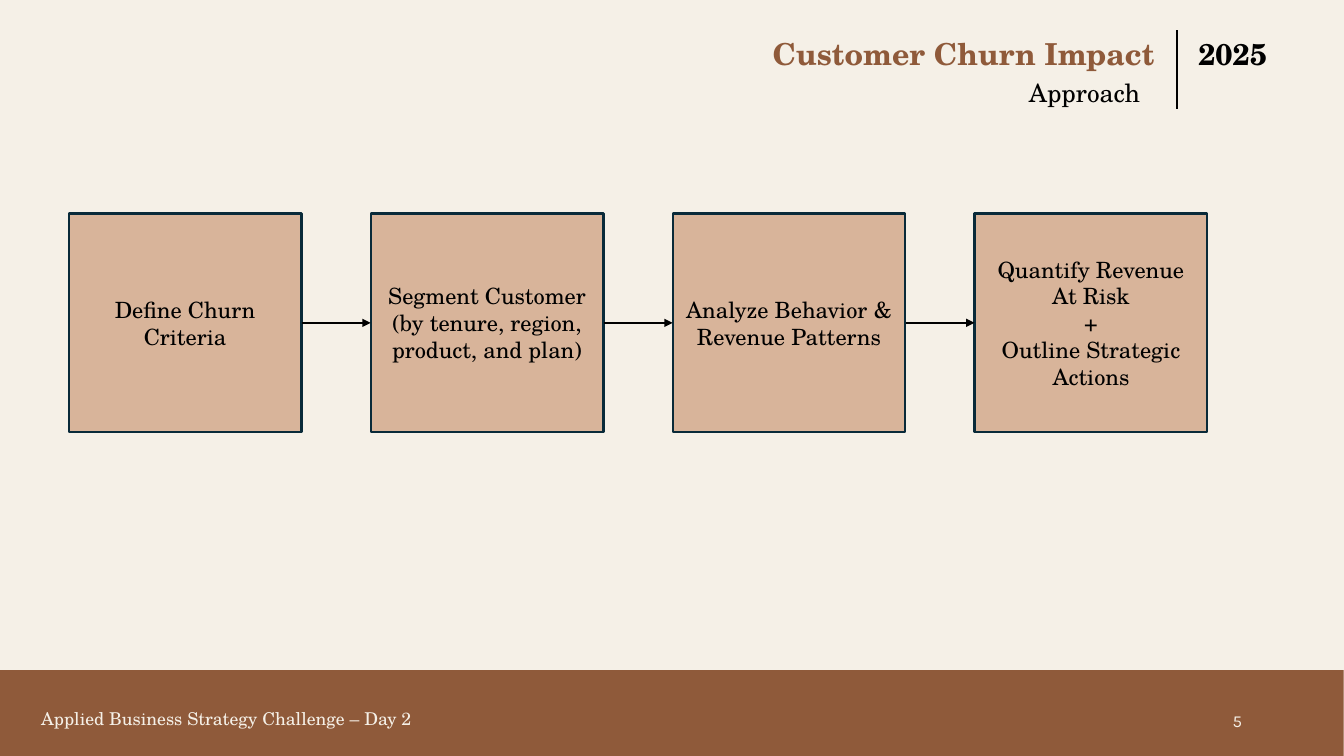
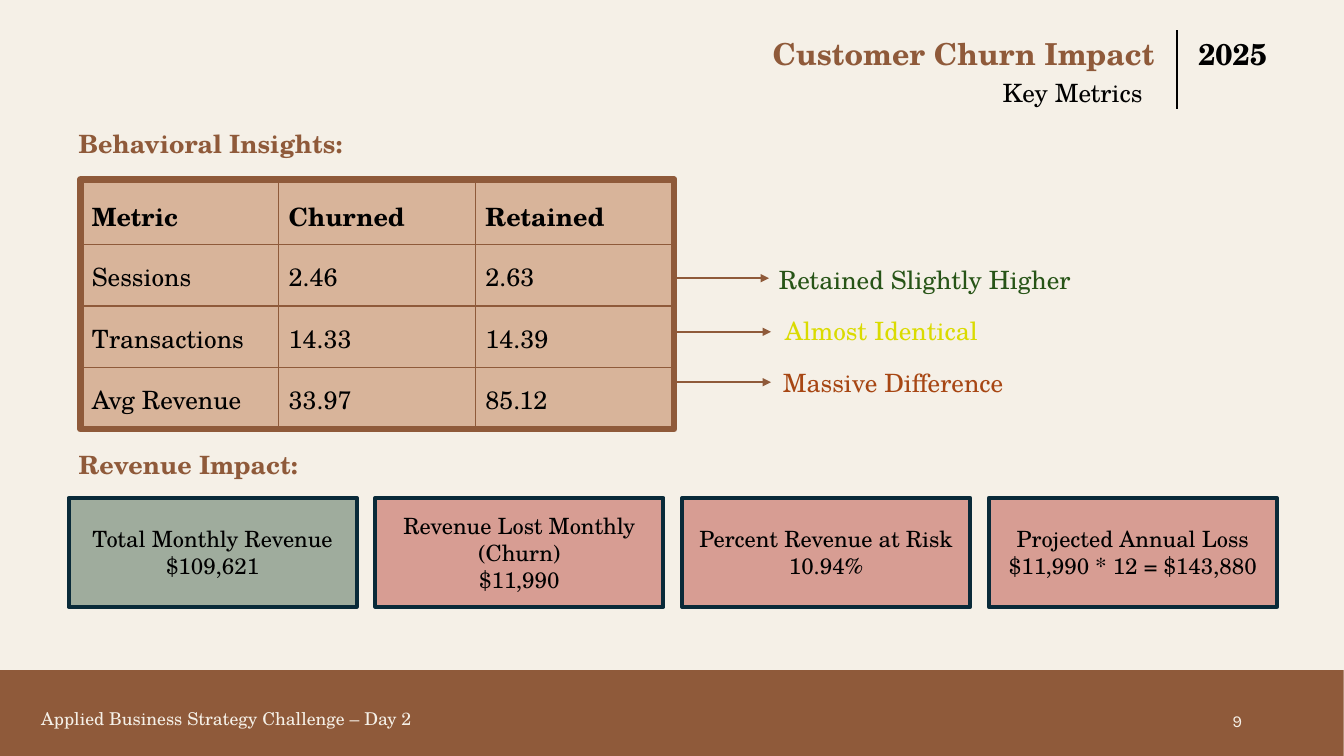
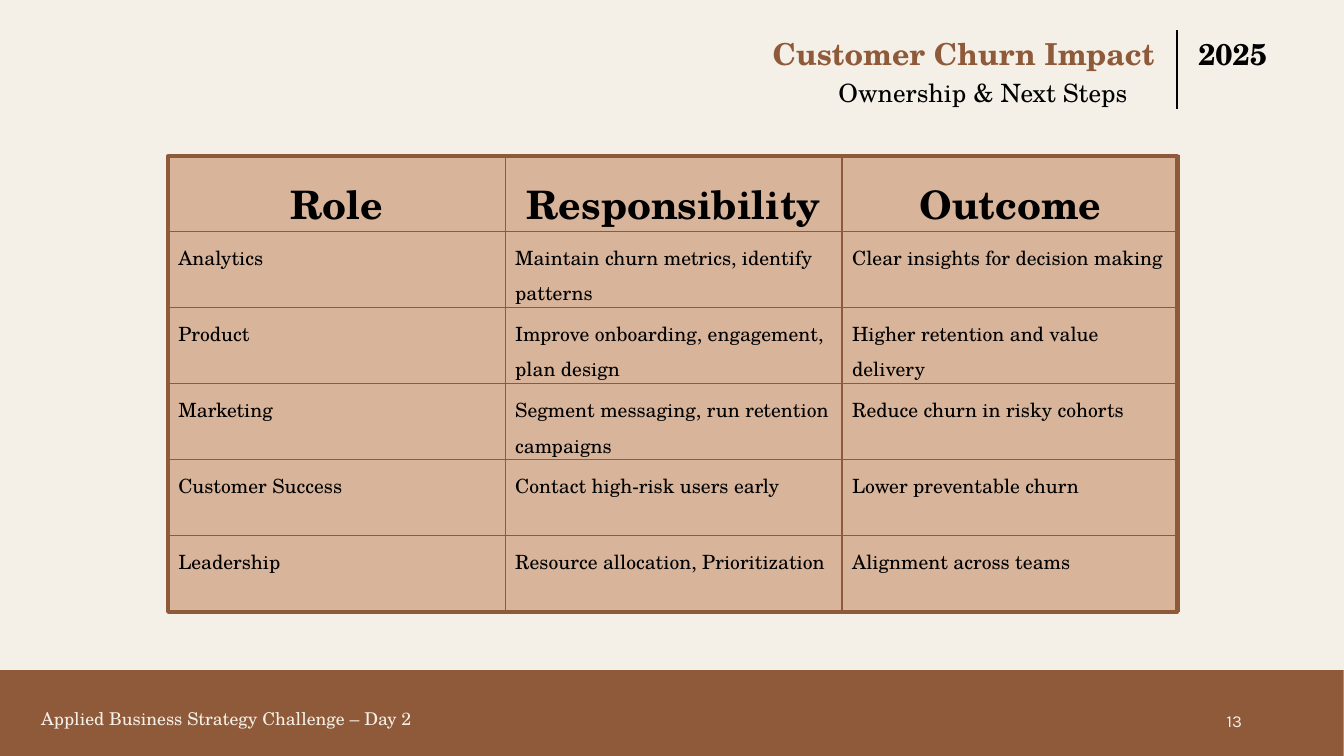
"""Build three slides on the impact of customer churn."""
from dataclasses import dataclass

from lxml import etree
from pptx import Presentation
from pptx import presentation as deck_types
from pptx import slide as slide_types
from pptx import table as table_types
from pptx import util as u
from pptx.dml import color as dml
from pptx.enum import shapes, text
from pptx.oxml import ns
from pptx.shapes import autoshape, connector
from pptx.text import text as text_types

Cm = u.Cm


@dataclass(frozen=True)
class Theme:
    """Colours, fonts and type sizes."""
    cream: str = "F5F0E7"
    brown: str = "8F5A3A"
    tan: str = "D8B49A"
    navy: str = "092A39"
    black: str = "000000"
    sage: str = "9FAC9D"
    rose: str = "D79D93"
    green: str = "275417"
    yellow: str = "DADB00"
    rust: str = "A74613"
    serif: str = "TeX Gyre Schola"
    sans: str = "Karla"
    title: float = 21.6
    year: float = 21.4
    heading: float = 18
    box: float = 16
    body: float = 14
    footer: float = 12.6
    number: float = 12
    role_header: float = 28
    thin: float = 1
    rule: float = 1.5
    thick: float = 3
    heavy: float = 4.5


@dataclass(frozen=True)
class Area:
    """A rectangle in centimetres."""
    left: float
    top: float
    width: float
    height: float

    def lengths(self) -> tuple[u.Length, ...]:
        """Give the rectangle as slide lengths."""
        return Cm(self.left), Cm(self.top), Cm(self.width), Cm(self.height)

    def shifted(self, pitch: float, index: int) -> "Area":
        """Move the rectangle right by a number of pitches."""
        return Area(self.left + pitch * index, self.top, self.width, self.height)


@dataclass(frozen=True)
class Card:
    """A revenue figure and its fill."""
    wording: str
    fill: str


@dataclass(frozen=True)
class Verdict:
    """A remark on a table row and the arrow leading to it."""
    wording: str
    color: str
    left: float
    arrow_left: float
    arrow_y: float


THEME = Theme()
LEFT, CENTER, RIGHT = text.PP_ALIGN.LEFT, text.PP_ALIGN.CENTER, text.PP_ALIGN.RIGHT
TOP, MIDDLE, BOTTOM = text.MSO_ANCHOR.TOP, text.MSO_ANCHOR.MIDDLE, text.MSO_ANCHOR.BOTTOM

STEPS = (
    "Define Churn Criteria",
    "Segment Customer\n(by tenure, region, product, and plan)",
    "Analyze Behavior &\nRevenue Patterns",
    "Quantify Revenue At Risk\n+\nOutline Strategic Actions",
)
METRICS = (
    ("Metric", "Churned", "Retained"),
    ("Sessions", "2.46", "2.63"),
    ("Transactions", "14.33", "14.39"),
    ("Avg Revenue", "33.97", "85.12"),
)
VERDICTS = (
    Verdict("Retained Slightly Higher", THEME.green, 19.38, 16.99, 7.01),
    Verdict("Almost Identical", THEME.yellow, 19.53, 17.04, 8.36),
    Verdict("Massive Difference", THEME.rust, 19.48, 17.04, 9.63),
)
CARDS = (
    Card("Total Monthly Revenue\n$109,621", THEME.sage),
    Card("Revenue Lost Monthly (Churn)\n$11,990", THEME.rose),
    Card("Percent Revenue at Risk\n10.94%", THEME.rose),
    Card("Projected Annual Loss\n$11,990 * 12 = $143,880", THEME.rose),
)
OWNERS = (
    ("Role", "Responsibility", "Outcome"),
    ("Analytics", "Maintain churn metrics, identify patterns", "Clear insights for decision making"),
    ("Product", "Improve onboarding, engagement, plan design", "Higher retention and value delivery"),
    ("Marketing", "Segment messaging, run retention campaigns", "Reduce churn in risky cohorts"),
    ("Customer Success", "Contact high-risk users early", "Lower preventable churn"),
    ("Leadership", "Resource allocation, Prioritization", "Alignment across teams"),
)


def rgb(value: str) -> dml.RGBColor:
    """Turn a hex string into a colour."""
    return dml.RGBColor.from_string(value)


def write(frame: text_types.TextFrame, wording: str, *, size: float, color: str = THEME.black,
          font: str = THEME.serif, bold: bool = False, align: text.PP_ALIGN = LEFT,
          anchor: text.MSO_ANCHOR | None = None, spacing: float | None = None) -> None:
    """Fill a text frame, one paragraph for each line of the wording."""
    frame.word_wrap = True
    if anchor is not None:
        frame.vertical_anchor = anchor
    for index, line in enumerate(wording.split("\n")):
        paragraph = frame.add_paragraph() if index else frame.paragraphs[0]
        paragraph.alignment = align
        if spacing:
            paragraph.line_spacing = spacing
        run = paragraph.add_run()
        run.text = line
        run.font.name = font
        run.font.size = u.Pt(size)
        run.font.bold = bold
        run.font.color.rgb = rgb(color)


def add_label(slide: slide_types.Slide, area: Area, wording: str, **style) -> None:
    """Add a text box."""
    write(slide.shapes.add_textbox(*area.lengths()).text_frame, wording, **style)


def add_box(slide: slide_types.Slide, area: Area, fill: str, border: str | None = None,
            weight: float = THEME.rule, wording: str = "") -> autoshape.Shape:
    """Add a rectangle, with a border and centred wording if given."""
    box = slide.shapes.add_shape(shapes.MSO_SHAPE.RECTANGLE, *area.lengths())
    box.shadow.inherit = False
    box.fill.solid()
    box.fill.fore_color.rgb = rgb(fill)
    if border:
        box.line.color.rgb = rgb(border)
        box.line.width = u.Pt(weight)
    else:
        box.line.fill.background()
    if wording:
        write(box.text_frame, wording, size=THEME.box, align=CENTER, anchor=MIDDLE)
    return box


def add_line(slide: slide_types.Slide, start: tuple[float, float], end: tuple[float, float],
             color: str = THEME.black, arrow: bool = False) -> connector.Connector:
    """Add a straight line, with an arrowhead at its end if asked."""
    line = slide.shapes.add_connector(
        shapes.MSO_CONNECTOR.STRAIGHT, *(Cm(value) for value in (*start, *end)))
    line.line.color.rgb = rgb(color)
    line.line.width = u.Pt(THEME.rule)
    properties = line.element.spPr
    if arrow:
        etree.SubElement(properties.find(ns.qn("a:ln")), ns.qn("a:tailEnd"), type="triangle")
    etree.SubElement(properties, ns.qn("a:effectLst"))
    return line


def outline_cell(cell: table_types._Cell, color: str) -> None:
    """Draw thin borders round a cell and leave it unfilled."""
    properties = cell._tc.get_or_add_tcPr()
    for side in ("lnL", "lnR", "lnT", "lnB"):
        border = etree.SubElement(properties, ns.qn(f"a:{side}"), w=str(u.Pt(THEME.thin)))
        paint = etree.SubElement(border, ns.qn("a:solidFill"))
        etree.SubElement(paint, ns.qn("a:srgbClr"), val=color)
    cell.fill.background()


def add_grid(slide: slide_types.Slide, area: Area, rows: tuple[tuple[str, ...], ...], *,
             header_size: float, body_size: float, header_align: text.PP_ALIGN = LEFT) -> None:
    """Add a table of equal cells with a bold header row."""
    grid = slide.shapes.add_table(len(rows), len(rows[0]), *area.lengths()).table
    grid.first_row = grid.horz_banding = False
    for column in grid.columns:
        column.width = Cm(area.width / len(rows[0]))
    for row_index, row in enumerate(rows):
        header = row_index == 0
        grid.rows[row_index].height = Cm(area.height / len(rows))
        for column_index, wording in enumerate(row):
            cell = grid.cell(row_index, column_index)
            outline_cell(cell, THEME.brown)
            write(cell.text_frame, wording, size=header_size if header else body_size,
                  bold=header, align=header_align if header else LEFT, spacing=1.23)


def add_page(deck: deck_types.Presentation, number: int, subtitle: str,
             subtitle_left: float) -> slide_types.Slide:
    """Add a slide with the shared background, footer and title."""
    slide = deck.slides.add_slide(deck.slide_layouts[6])
    slide.background.fill.solid()
    slide.background.fill.fore_color.rgb = rgb(THEME.cream)
    add_box(slide, Area(-0.18, 16.89, 34.04, 2.21), THEME.brown)
    add_label(slide, Area(23.93, 17.65, 7.62, 1.02), str(number), size=THEME.number,
              font=THEME.sans, color=THEME.cream, align=RIGHT, anchor=MIDDLE)
    add_label(slide, Area(0.2, 17.45, 11, 1.02), "Applied Business Strategy Challenge – Day 2",
              size=THEME.footer, color=THEME.cream, align=CENTER, anchor=BOTTOM, spacing=0.7)
    add_label(slide, Area(18.62, 0.76, 11.33, 1.17), "Customer Churn Impact", size=THEME.title,
              color=THEME.brown, bold=True, align=CENTER, anchor=BOTTOM, spacing=0.9)
    add_line(slide, (29.67, 0.76), (29.67, 2.74))
    add_label(slide, Area(29.95, 0.76, 2.34, 1.17), "2025", size=THEME.year, bold=True,
              anchor=BOTTOM, spacing=0.9)
    add_label(slide, Area(subtitle_left, 1.83, 29.54 - subtitle_left, 1.02), subtitle,
              size=THEME.heading, anchor=TOP)
    return slide


def build_approach(deck: deck_types.Presentation) -> None:
    """Draw the four steps of the approach."""
    slide = add_page(deck, 5, "Approach", 25.68)
    first = Area(1.73, 5.38, 5.87, 5.51)
    steps = [add_box(slide, first.shifted(7.61, index), THEME.tan, THEME.navy, wording=wording)
             for index, wording in enumerate(STEPS)]
    for before, after in zip(steps, steps[1:]):
        link = add_line(slide, (0, 0), (1, 0), arrow=True)
        link.begin_connect(before, 3)
        link.end_connect(after, 1)


def build_metrics(deck: deck_types.Presentation) -> None:
    """Draw the behaviour table, its verdicts and the revenue cards."""
    slide = add_page(deck, 9, "Key Metrics", 25.02)
    for heading, top in (("Behavioral Insights:", 3.12), ("Revenue Impact:", 11.2)):
        add_label(slide, Area(1.73, top, 10.34, 1.02), heading, size=THEME.heading,
                  color=THEME.brown, bold=True)
    for index, card in enumerate(CARDS):
        add_box(slide, Area(1.73, 12.55, 7.26, 2.74).shifted(7.73, index), card.fill,
                THEME.navy, THEME.thick, card.wording)
    add_box(slide, Area(2.03, 4.52, 14.96, 6.3), THEME.tan, THEME.brown, THEME.heavy)
    add_grid(slide, Area(2.06, 4.6, 14.88, 6.22), METRICS,
             header_size=THEME.heading, body_size=THEME.heading)
    for index, verdict in enumerate(VERDICTS):
        add_label(slide, Area(verdict.left, 6.53 + 1.3 * index, 8.6, 1.02), verdict.wording,
                  size=THEME.heading, color=verdict.color)
        add_line(slide, (verdict.arrow_left, verdict.arrow_y),
                 (verdict.arrow_left + 2.39, verdict.arrow_y), THEME.brown, arrow=True)


def build_ownership(deck: deck_types.Presentation) -> None:
    """Draw the table of roles and outcomes."""
    slide = add_page(deck, 13, "Ownership & Next Steps", 20.88)
    add_box(slide, Area(4.24, 3.94, 25.43, 11.48), THEME.tan, THEME.brown, THEME.thick)
    add_grid(slide, Area(4.24, 3.91, 25.47, 11.51), OWNERS, header_size=THEME.role_header,
             body_size=THEME.body, header_align=CENTER)


def main() -> None:
    """Build and save the deck."""
    deck = Presentation()
    deck.slide_width, deck.slide_height = Cm(33.87), Cm(19.05)
    build_approach(deck)
    build_metrics(deck)
    build_ownership(deck)
    deck.save("out.pptx")


if __name__ == "__main__":
    main()
